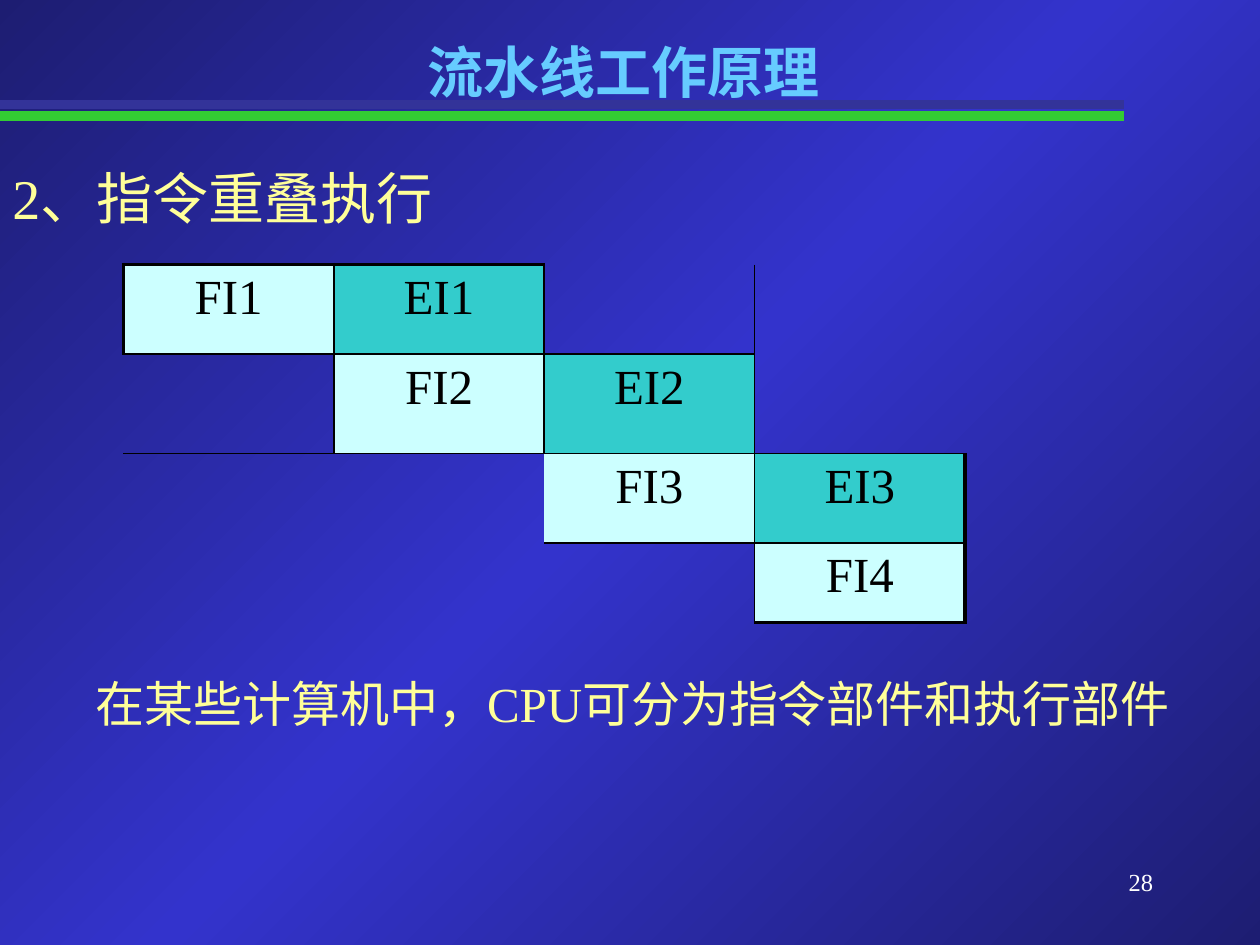
from copy import deepcopy

from lxml.etree import SubElement
from pptx import Presentation
from pptx.dml.color import RGBColor
from pptx.enum.shapes import MSO_CONNECTOR as Connector
from pptx.enum.text import PP_ALIGN as Align
from pptx.oxml.ns import qn
from pptx.util import Inches, Pt

LATIN = "Times New Roman"
CJK = "Noto Sans CJK SC"
NO_GRID = "{2D5ABB26-0587-4C30-8999-92F81FD0307C}"
NAVY, BLUE, GREEN, INDIGO = "1D1D72", "3333CC", "33CC33", "333399"
SKY, YELLOW, WHITE, BLACK = "66CCFF", "FFFF99", "FFFFFF", "000000"
FETCH, EXECUTE = "CCFFFF", "33CCCC"
SIDES = {"L": (0, -1, "R"), "R": (0, 1, "L"), "T": (-1, 0, "B"), "B": (1, 0, "T")}


def colour(hex_code):
    return RGBColor.from_string(hex_code)


def write(frame, text, size=28, font=LATIN, color=YELLOW, bold=False, align=Align.CENTER):
    paragraph = frame.paragraphs[0]
    paragraph.alignment = align
    run = paragraph.add_run()
    run.text = text
    run.font.size = Pt(size)
    run.font.name = font
    run.font.bold = bold
    run.font.color.rgb = colour(color)
    SubElement(run._r.get_or_add_rPr(), qn("a:ea"), typeface=CJK)


class SlideBuilder:
    def __init__(self, slide):
        self.slide = slide

    def background(self, edge, middle):
        fill = self.slide.background.fill
        fill.gradient()
        fill.gradient_angle = 315
        first = fill.gradient_stops[0]._gs
        first.addnext(deepcopy(first))
        for stop, position, shade in zip(fill.gradient_stops, (0, 0.5, 1), (edge, middle, edge)):
            stop.position = position
            stop.color.rgb = colour(shade)

    def rule(self, y, width, color):
        line = self.slide.shapes.add_connector(
            Connector.STRAIGHT, Inches(0), Inches(y), Inches(width), Inches(y))
        line.line.color.rgb = colour(color)
        line.line.width = Pt(5.5)
        SubElement(line._element.spPr, qn("a:effectLst"))

    def text(self, left, top, width, height, words, **style):
        box = self.slide.shapes.add_textbox(*map(Inches, (left, top, width, height)))
        box.text_frame.word_wrap = True
        write(box.text_frame, words, **style)

    def border(self, cell, side, width):
        line = SubElement(cell._tc.get_or_add_tcPr(), qn(f"a:ln{side}"), w=str(Pt(width)))
        SubElement(SubElement(line, qn("a:solidFill")), qn("a:srgbClr"), val=BLACK)

    def table(self, left, top, widths, heights, stages, open_sides):
        rows, cols = len(heights), len(widths)
        grid = self.slide.shapes.add_table(
            rows, cols, *map(Inches, (left, top, sum(widths), sum(heights))))
        table = grid.table
        table.first_row = table.horz_banding = False
        table._tbl.tblPr.find(qn("a:tableStyleId")).text = NO_GRID
        for column, width in zip(table.columns, widths):
            column.width = Inches(width)
        for row, height in zip(table.rows, heights):
            row.height = Inches(height)

        borders = {}
        for (row, col), label in stages.items():
            for side, (down, right, opposite) in SIDES.items():
                if (label, side) in open_sides:
                    continue
                near_row, near_col = row + down, col + right
                inside = 0 <= near_row < rows and 0 <= near_col < cols
                borders[row, col, side] = 1 if inside else 2.25
                if inside:
                    borders[near_row, near_col, opposite] = 1

        for row in range(rows):
            for col in range(cols):
                cell = table.cell(row, col)
                for side in SIDES:
                    if (row, col, side) in borders:
                        self.border(cell, side, borders[row, col, side])
                label = stages.get((row, col))
                if label:
                    cell.fill.solid()
                    cell.fill.fore_color.rgb = colour(FETCH if label[0] == "F" else EXECUTE)
                    write(cell.text_frame, label, color=BLACK)
                else:
                    cell.fill.background()


def main():
    deck = Presentation()
    deck.slide_width, deck.slide_height = Inches(10), Inches(7.5)
    page = SlideBuilder(deck.slides.add_slide(deck.slide_layouts[6]))

    page.background(NAVY, BLUE)
    page.rule(0.92, 8.92, GREEN)
    page.rule(0.83, 8.92, INDIGO)
    page.text(7.17, 6.83, 2.08, 0.5, "28", size=14, color=WHITE, align=Align.RIGHT)
    page.text(0, 0.25, 10, 0.63, "流水线工作原理 ", size=32, font=CJK, color=SKY, bold=True)
    page.text(0, 1.25, 10, 1.43, "2、指令重叠执行", size=32, align=Align.LEFT)

    stages = {(step, step): f"FI{step + 1}" for step in range(4)}
    stages.update({(step, step + 1): f"EI{step + 1}" for step in range(3)})
    page.table(0.98, 2.1, [1.67] * 4, [0.71, 0.79, 0.71, 0.63], stages,
               {("FI2", "B"), ("FI3", "L")})
    page.text(0.65, 5.3, 8.74, 0.57, "在某些计算机中，CPU可分为指令部件和执行部件")
    deck.save("out.pptx")


if __name__ == "__main__":
    main()
